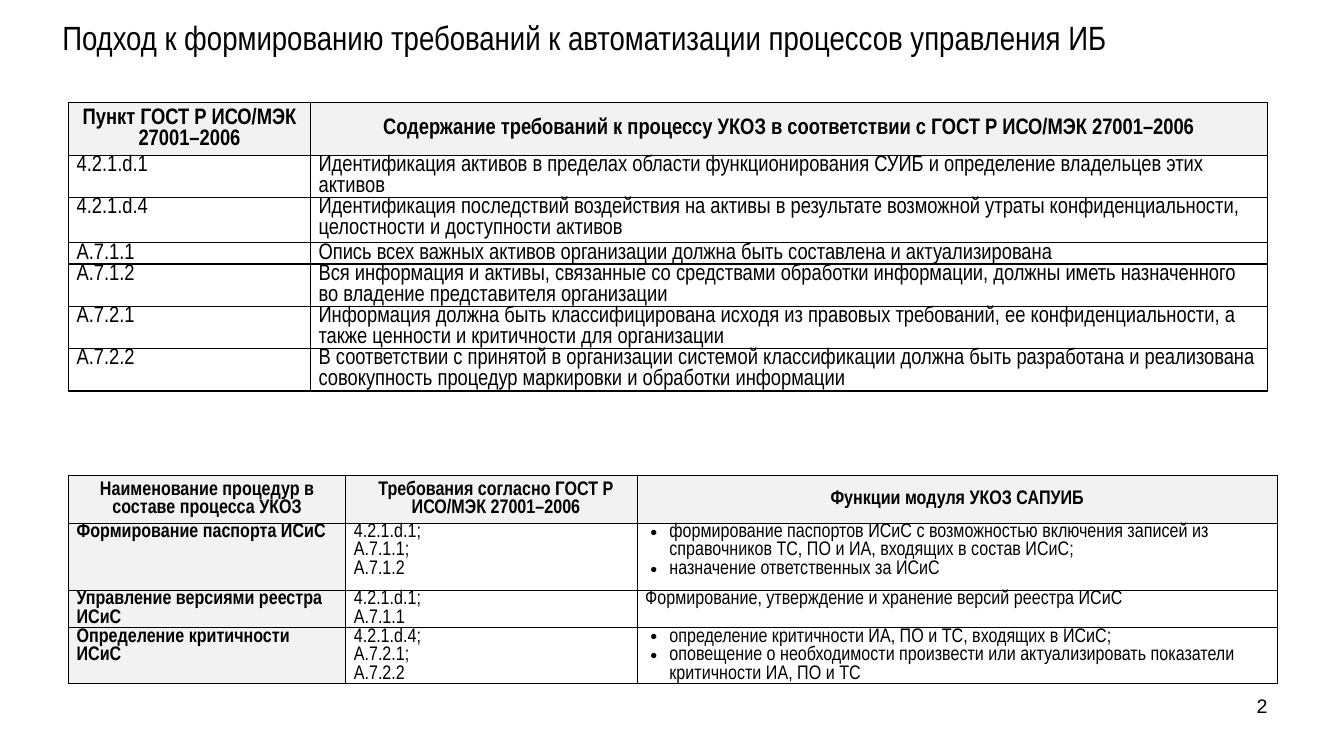
import pptx
import pptx.util
import pptx.dml.color
import pptx.enum.text
import pptx.oxml
import pptx.oxml.ns
from lxml import etree

Inches = pptx.util.Inches
Pt = pptx.util.Pt
ALIGN = pptx.enum.text.PP_ALIGN
ANCHOR = pptx.enum.text.MSO_ANCHOR
COLORS = {"ink": "000000", "head": "F2F2F2", "body": "FFFFFF"}
NARROW = "Arial Narrow"
PITCH = {16: 15, 14: 13.2}

NORMS = [
    ["Пункт ГОСТ Р ИСО/МЭК 27001–2006",
     "Содержание требований к процессу УКОЗ в соответствии с ГОСТ Р ИСО/МЭК 27001–2006"],
    ["4.2.1.d.1",
     "Идентификация активов в пределах области функционирования СУИБ и определение владельцев этих активов"],
    ["4.2.1.d.4",
     "Идентификация последствий воздействия на активы в результате возможной утраты конфиденциальности, "
     "целостности и доступности активов"],
    ["А.7.1.1",
     "Опись всех важных активов организации должна быть составлена и актуализирована"],
    ["А.7.1.2",
     "Вся информация и активы, связанные со средствами обработки информации, должны иметь назначенного "
     "во владение представителя организации"],
    ["А.7.2.1",
     "Информация должна быть классифицирована исходя из правовых требований, ее конфиденциальности, "
     "а также ценности и критичности для организации"],
    ["А.7.2.2",
     "В соответствии с принятой в организации системой классификации должна быть разработана и реализована "
     "совокупность процедур маркировки и обработки информации"],
]

TASKS = [
    ["Наименование процедур в составе процесса УКОЗ",
     "Требования согласно ГОСТ Р ИСО/МЭК 27001–2006",
     "Функции модуля УКОЗ САПУИБ"],
    ["Формирование паспорта ИСиС",
     ["4.2.1.d.1;", "A.7.1.1;", "A.7.1.2"],
     ["формирование паспортов ИСиС с возможностью включения записей из справочников ТС, ПО и ИА, "
      "входящих в состав ИСиС;",
      "назначение ответственных за ИСиС"]],
    ["Управление версиями реестра ИСиС",
     ["4.2.1.d.1;", "A.7.1.1"],
     "Формирование, утверждение и хранение версий реестра ИСиС"],
    ["Определение критичности ИСиС",
     ["4.2.1.d.4;", "A.7.2.1;", "A.7.2.2"],
     ["определение критичности ИА, ПО и ТС, входящих в ИСиС;",
      "оповещение о необходимости произвести или актуализировать показатели критичности ИА, ПО и ТС"]],
]


def paint(hue):
    return pptx.dml.color.RGBColor.from_string(COLORS[hue])


def style(para, size, face=NARROW, bold=False):
    font = para.font
    font.name, font.size, font.bold = face, Pt(size), bold
    font.color.rgb = paint("ink")


def indent(para, left, first, mark=None):
    props = para._p.get_or_add_pPr()
    props.set("marL", str(Inches(left)))
    props.set("indent", str(Inches(first)))
    if mark:
        qn = pptx.oxml.ns.qn
        etree.SubElement(props, qn("a:buFont")).set("typeface", "Arial")
        etree.SubElement(props, qn("a:buChar")).set("char", mark)


def border(cell):
    props = cell._tc.get_or_add_tcPr()
    for spot, side in enumerate("LRTB"):
        line = pptx.oxml.parse_xml(
            f'<a:ln{side} {pptx.oxml.ns.nsdecls("a")} w="{Pt(1)}"><a:solidFill>'
            f'<a:srgbClr val="{COLORS["ink"]}"/></a:solidFill></a:ln{side}>')
        props.insert(spot, line)


def add_label(slide, box, text, size, face):
    frame = slide.shapes.add_textbox(*map(Inches, box)).text_frame
    frame.word_wrap = True
    para = frame.paragraphs[0]
    para.text = text
    style(para, size, face)
    return frame


def fill_cell(cell, text, size, pads, head, bold, shade, shifts):
    cell.margin_left = cell.margin_right = Inches(pads[0])
    cell.margin_top = cell.margin_bottom = Inches(pads[1])
    cell.vertical_anchor = ANCHOR.MIDDLE if head else ANCHOR.TOP
    cell.fill.solid()
    cell.fill.fore_color.rgb = paint(shade)
    border(cell)
    parts = text if isinstance(text, list) else [text]
    cell.text = "\n".join(parts)
    for para in cell.text_frame.paragraphs:
        para.alignment = ALIGN.CENTER if head else ALIGN.LEFT
        para.line_spacing = Pt(PITCH[size])
        if shifts:
            indent(para, *shifts)
        style(para, size, bold=bold)


def add_grid(slide, spot, wides, highs, rows, size, pads, side=False, shifts=None):
    box = map(Inches, (*spot, sum(wides), sum(highs)))
    grid = slide.shapes.add_table(len(rows), len(wides), *box).table
    grid.horz_banding = False
    for col, wide in zip(grid.columns, wides):
        col.width = Inches(wide)
    for row, high in zip(grid.rows, highs):
        row.height = Inches(high)
    for r, row in enumerate(rows):
        for c, text in enumerate(row):
            head = r == 0
            strong = head or (side and c == 0)
            if head:
                shift = (0.09, 0) if side and c == 1 else None
            else:
                shift = shifts[c] if isinstance(text, list) else None
            fill_cell(grid.cell(r, c), text, size, pads if head else (0.08, 0),
                      head, strong, "head" if strong else "body", shift)


def main():
    deck = pptx.Presentation()
    deck.slide_width, deck.slide_height = Inches(13.33), Inches(7.5)
    slide = deck.slides.add_slide(deck.slide_layouts[6])
    page = add_label(slide, (9.56, 6.83, 3.11, 0.52), "2", 14, "Arial")
    page.paragraphs[0].alignment = ALIGN.RIGHT
    title = add_label(slide, (0.52, 0.38, 11.73, 0.07),
                      "Подход к формированию требований к автоматизации процессов управления ИБ",
                      24, NARROW)
    title.vertical_anchor = ANCHOR.MIDDLE
    title.paragraphs[0].line_spacing = 0.7
    add_grid(slide, (0.68, 1.02), (2.4, 9.49),
             (0.52, 0.42, 0.45, 0.21, 0.42, 0.42, 0.42), NORMS, 16, (0.04, 0.04))
    add_grid(slide, (0.68, 4.72), (2.75, 2.89, 6.35), (0.47, 0.67, 0.37, 0.55),
             TASKS, 14, (0.01, 0), side=True,
             shifts=(None, (0.04, -0.25), (0.24, -0.19, "•")))
    deck.save("out.pptx")


if __name__ == "__main__":
    main()
